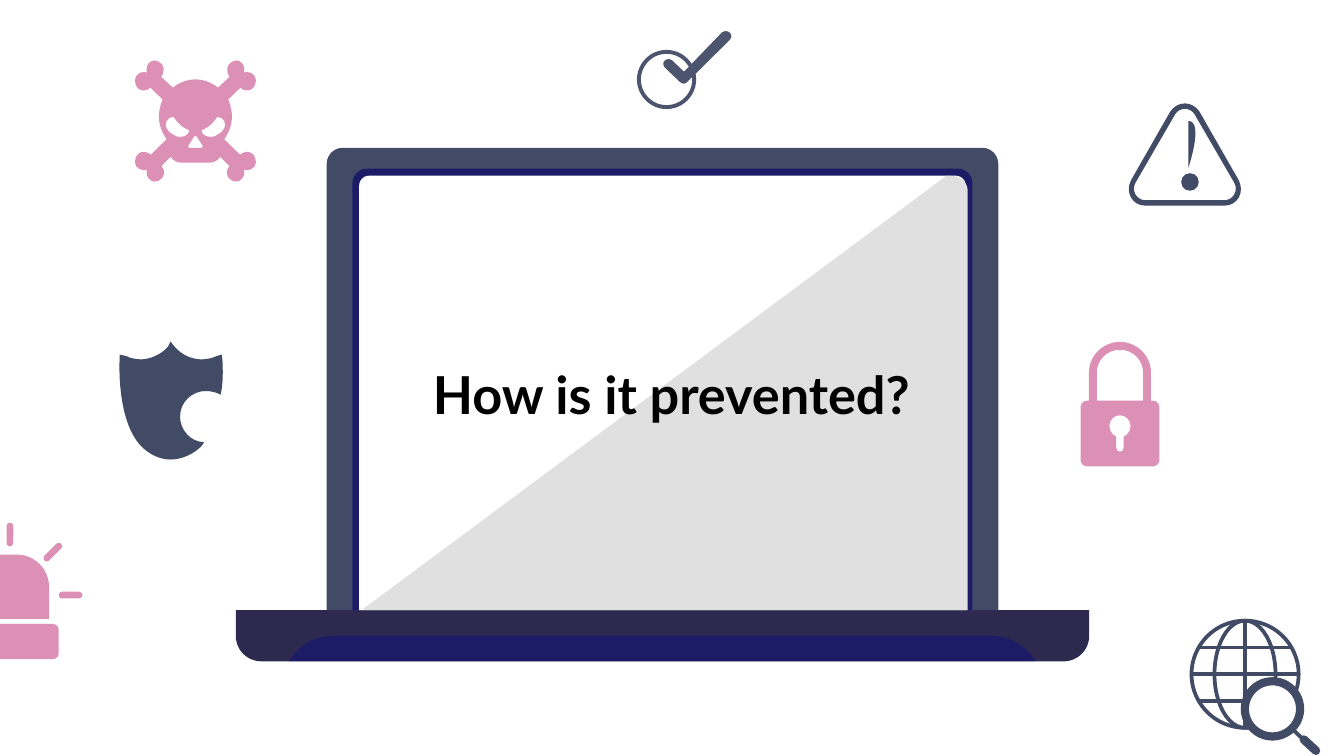
"""Build the laptop section slide with its ring of security icons."""
from lxml import etree
from pptx import Presentation
from pptx.dml.color import RGBColor
from pptx.enum import shapes, text
from pptx.oxml import ns
from pptx.util import Pt

COLORS = {
    "slate": "424B66", "check": "4C546E", "pink": "DD90B6", "navy": "1C1C66",
    "plum": "2E294E", "white": "FFFFFF", "glare": "E0E0E0", "ink": "000000",
}
KINDS = shapes.MSO_SHAPE

SHIELD = """M 91.4 183 L 90 185.8 C 86.4 190 80.6 192.4 75.6 192.6
 C 72.7 192.4 69.8 192 67.7 190.8 L 64.1 190 L 64.1 193 C 64 194.4 62.6 225.4 75.6 239
 C 79.9 243.4 85.7 246.2 91.4 246.2 C 97.2 246.2 103.7 243.4 108 239
 L 109.4 236.9 C 102.2 236.9 96.5 230.4 96.5 223.2
 C 96.5 215.3 103 209.5 110.2 209.5 C 113 209.5 116 210.2 118.2 211.5
 C 119.5 206 119.5 199.4 119.2 193 L 118.8 190 L 116 190.8
 C 113.8 192 111 192.4 108 192.6 C 102.2 192.4 97.2 190 93.6 185.8"""
TICK = """M 388.8 16.6 C 388 16.6 387.5 16.7 387 17.2 L 366.5 38.4 L 360.2 32.4
 C 359.5 31.8 359 31.6 358.4 31.6 C 355.5 31.6 354.4 34.4 356.2 36.2 L 364.3 43.9
 C 365 44.5 365.7 44.8 366.5 44.8 C 367 44.8 367.6 44.5 368.2 43.9 L 391 21.4
 C 392.9 19.4 391.5 16.6 388.8 16.6"""
SKULL_HALF = """M 104.7 42.6 C 100.2 42.6 96 44.2 92.6 47
 L 86.4 41.2 C 88.6 38 88 34.6 85 33.1 C 84.2 32.6 83.5 32.4 82.8 32.4
 C 80.6 32.4 78.5 34.4 78.5 37.2 L 78.6 38.9 C 78 38.7 77.6 38.6 77 38.6
 C 73.4 38.6 71.3 42.2 72.7 45.4 C 73.4 47.3 75 48.5 77 48.5 C 78.5 48.5 79.5 48 80.6 47
 L 87.1 53.3 C 86.4 55 85.9 56.6 85.6 58.3 C 84.2 64 85.9 70 89.3 74.6 L 80.8 82.9
 C 79.9 82 78.5 81.4 77 81.4 C 75 81.4 73.4 82.6 72.7 84.6 C 71.3 87.8 73.4 91.2 77 91.2
 L 78.6 90.9 L 78.5 92.6 C 78.5 95 80.6 97.3 82.8 97.3
 C 83.5 97.3 84.2 97.1 85 96.8 C 88 95.6 89 91.6 86.5 89 L 91.4 84
 C 92.6 86 95 87.2 97.2 87.2 L 104.7 87.2"""
EYE = """M 92.9 62.6 C 96.5 67.7 99.4 69.1 101.5 69.8 L 100.8 71.6
 C 99.4 73 98 73.4 96.5 73.4 C 95 73.4 94 73 92.9 72.2 C 89.3 70.5 87.8 67 89.3 64.8
 C 90 63.5 91.4 62.6 92.9 62.6"""
NOSE_HALF = """M 104.7 72.6 C 104.3 72.6 104 72.9 103.9 73.3 L 101 77.9
 C 100.6 78.6 100.8 79.3 101.4 79.3 L 104.7 79.3"""
SIGN_HALF = """M 634.8 55.4 C 631.6 55.4 628.5 57.3 627 59.8 L 606 96.5
 C 602.6 103 606.6 110.2 613.6 110.2 L 634.8 110.2"""
SIGN_HOLE_HALF = """M 634.8 58.3 C 632.7 58.3 630.6 59.5 629.5 61.4 L 608.3 98
 C 606 102.2 609 107.3 613.6 107.3 L 634.8 107.3"""
STROKE_HALF = "M 636.6 64.8 C 628 64.8 636.6 90 636.6 90"
PADLOCK_HALF = """M 600 183.2 C 591 183.2 583.4 190.5 583.4 199.7 L 583.4 214.7 L 582.3 214.7
 C 580.4 214.7 578.9 216.4 578.9 218.2 L 578.9 246.4 C 578.9 248.2 580.4 249.8 582.3 249.8
 L 600 249.8"""
SHACKLE_HALF = "M 600 187.4 C 593 187.4 587.6 193 587.6 199.7 L 587.6 214.7 L 600 214.7"
KEYHOLE_HALF = """M 600 222.5 C 594 222.5 592 231 598 234 L 598 239.8
 C 598 241.2 598.8 242 600 242"""
FRONT_HALF = "M 354.8 340.6 L 178.6 340.6 C 169 340.6 160 345.6 154.8 354.2 L 354.8 354.2"
GLARE = """M 506.9 94.3 L 193.7 326.9 L 518.4 326.9 L 518.4 102.2
 C 518.4 98 514.8 94.3 509.8 94.3"""


def rgb(color):
    return RGBColor.from_string(COLORS[color])


def trace(commands):
    tokens = iter(commands.split())
    points = []
    for command in tokens:
        corners = [(float(next(tokens)), float(next(tokens)))
                   for _ in range(3 if command == "C" else 1)]
        points += [points[-1], *corners, *corners] if command == "L" else corners
    return points


def reflect(points, axis):
    return [(2 * axis - x, y) for x, y in points]


def symmetric(half):
    points = trace(half)
    return points + reflect(points, points[0][0])[-2::-1]


def paint(part, fill=None, line=None, weight=0):
    part.shadow.inherit = False
    if fill:
        part.fill.solid()
        part.fill.fore_color.rgb = rgb(fill)
    else:
        part.fill.background()
    if line:
        part.line.color.rgb = rgb(line)
        part.line.width = Pt(weight)
    else:
        part.line.fill.background()


def bend(outline):
    track = next(outline.element.iter(ns.qn("a:path")))
    segments = track.findall(ns.qn("a:lnTo"))
    for first, second, third in zip(segments[::3], segments[1::3], segments[2::3]):
        if dict(second[0].attrib) != dict(third[0].attrib):
            first.tag = ns.qn("a:cubicBezTo")
            first.extend([second[0], third[0]])
            track.remove(third)
        else:
            track.remove(first)
        track.remove(second)


def add_outline(slide, fill, *contours):
    scaled = [[(Pt(x), Pt(y)) for x, y in contour] for contour in contours]
    builder = slide.shapes.build_freeform(*scaled[0][0])
    builder.add_line_segments(scaled[0][1:])
    for contour in scaled[1:]:
        builder.move_to(*contour[0])
        builder.add_line_segments(contour[1:])
    outline = builder.convert_to_shape()
    bend(outline)
    paint(outline, fill)


def add_preset(slide, kind, box, fill=None, corners=(), turn=0, **stroke):
    part = slide.shapes.add_shape(kind, *map(Pt, box))
    for index, corner in enumerate(corners):
        part.adjustments[index] = corner
    part.rotation = turn
    paint(part, fill, **stroke)


def add_circle(slide, center, radius, squeeze=1, **look):
    x, y = center
    width = radius * squeeze
    add_preset(slide, KINDS.OVAL, (x - width, y - radius, 2 * width, 2 * radius), **look)


def add_stroke(slide, start, end, weight, cap="flat"):
    stroke = slide.shapes.add_connector(
        shapes.MSO_CONNECTOR.STRAIGHT, *map(Pt, (*start, *end)))
    stroke.line.color.rgb = rgb("slate")
    stroke.line.width = Pt(weight)
    properties = stroke.element.spPr
    properties.find(ns.qn("a:ln")).set("cap", cap)
    etree.SubElement(properties, ns.qn("a:effectLst"))


def add_siren(slide):
    add_preset(slide, KINDS.ROUND_2_SAME_RECTANGLE, (-16, 297.1, 42.3, 34.5), "pink", (0.5, 0))
    add_preset(slide, KINDS.ROUNDED_RECTANGLE, (-21, 334.3, 52.5, 18.8), "pink", (0.16,))
    length = 12.6
    for x, y, turn in ((5.3, 286.4, 90), (28.3, 295.8, -45), (37.8, 318.8, 0)):
        add_preset(slide, KINDS.ROUNDED_RECTANGLE, (x - length / 2, y - 1.8, length, 3.6),
                   "pink", (0.5,), turn)


def add_globe(slide):
    x, y, radius, weight = 667, 361.2, 28.7, 2
    for squeeze in (1, 0.57):
        add_circle(slide, (x, y), radius, squeeze, line="slate", weight=weight)
    add_stroke(slide, (x, y - radius), (x, y + radius), weight)
    for offset in (-14.3, 0, 14.3):
        reach = (radius ** 2 - offset ** 2) ** 0.5
        add_stroke(slide, (x - reach, y + offset), (x + reach, y + offset), weight)
    add_circle(slide, (681.7, 379.8), 14.8, fill="white", line="slate", weight=4.4)
    add_stroke(slide, (692, 390.2), (698.5, 396.5), 2)
    add_stroke(slide, (698.5, 396.2), (705, 402.2), 4.6, "rnd")


def add_icons(slide):
    eye = trace(EYE)
    add_outline(slide, "slate", trace(SHIELD))
    add_circle(slide, (357.1, 42.6), 14.8, line="check", weight=2.1)
    add_outline(slide, "check", trace(TICK))
    add_outline(slide, "pink", symmetric(SKULL_HALF), eye, reflect(eye, 104.7),
                symmetric(NOSE_HALF))
    add_siren(slide)
    add_outline(slide, "slate", symmetric(SIGN_HALF), symmetric(SIGN_HOLE_HALF))
    add_outline(slide, "slate", symmetric(STROKE_HALF))
    add_circle(slide, (637.5, 97.5), 4.7, fill="slate")
    add_outline(slide, "pink", *map(symmetric, (PADLOCK_HALF, SHACKLE_HALF, KEYHOLE_HALF)))
    add_globe(slide)


def add_laptop(slide):
    hinge = 326.9
    add_preset(slide, KINDS.ROUND_2_SAME_RECTANGLE, (126.3, hinge, 457.2, 27.4), "plum", (0, 0.5))
    add_outline(slide, "navy", symmetric(FRONT_HALF))
    for left, top, width, radius, fill in ((175, 79.2, 359.8, 8.6, "slate"),
                                           (188.8, 90.3, 332.2, 7.9, "navy"),
                                           (192.4, 94.1, 325, 5.4, "white")):
        height = hinge - top
        add_preset(slide, KINDS.ROUND_2_SAME_RECTANGLE, (left, top, width, height), fill,
                   (radius / height, 0))
    add_outline(slide, "glare", trace(GLARE))


def write_text(holder, wording, size, color, font="Lato", bold=False):
    frame = holder.text_frame
    frame.word_wrap = True
    frame.auto_size = text.MSO_AUTO_SIZE.NONE
    frame.vertical_anchor = text.MSO_ANCHOR.MIDDLE
    frame.margin_left = frame.margin_right = frame.margin_top = frame.margin_bottom = Pt(7.2)
    paragraph = frame.paragraphs[0]
    paragraph.alignment = text.PP_ALIGN.CENTER
    run = paragraph.add_run()
    run.text = wording
    run.font.name, run.font.size, run.font.bold = font, Pt(size), bold
    run.font.color.rgb = rgb(color)


def add_title(slide):
    title = slide.shapes.title
    title.left, title.top, title.width, title.height = map(Pt, (213.1, 187.9, 293, 45.4))
    write_text(title, "How is it prevented?", size=28, color="ink", bold=True)
    title.element.getparent().append(title.element)


def main():
    deck = Presentation()
    deck.slide_width, deck.slide_height = Pt(720), Pt(405)
    slide = deck.slides.add_slide(deck.slide_layouts[5])
    add_icons(slide)
    add_laptop(slide)
    add_title(slide)
    deck.save("out.pptx")


if __name__ == "__main__":
    main()
